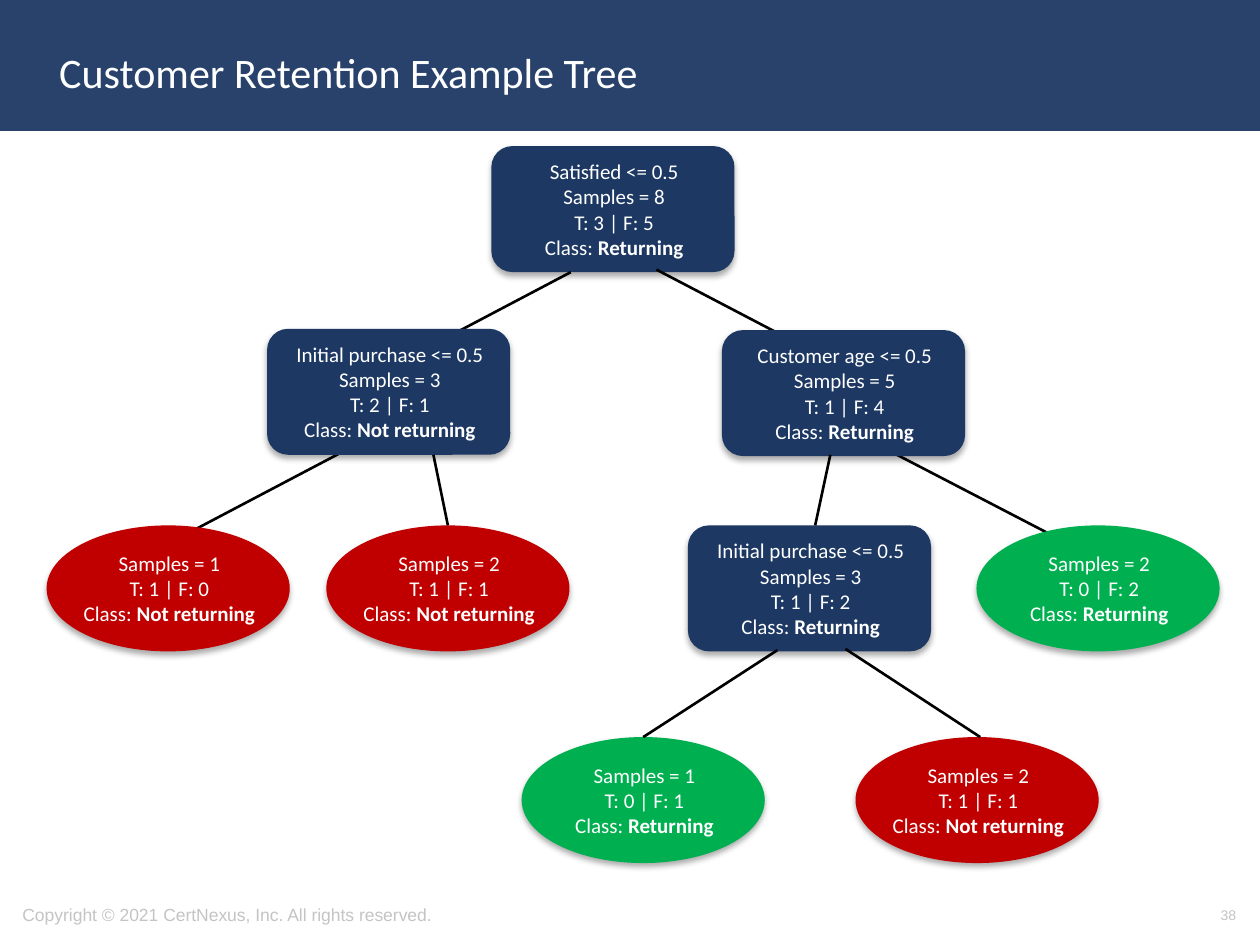
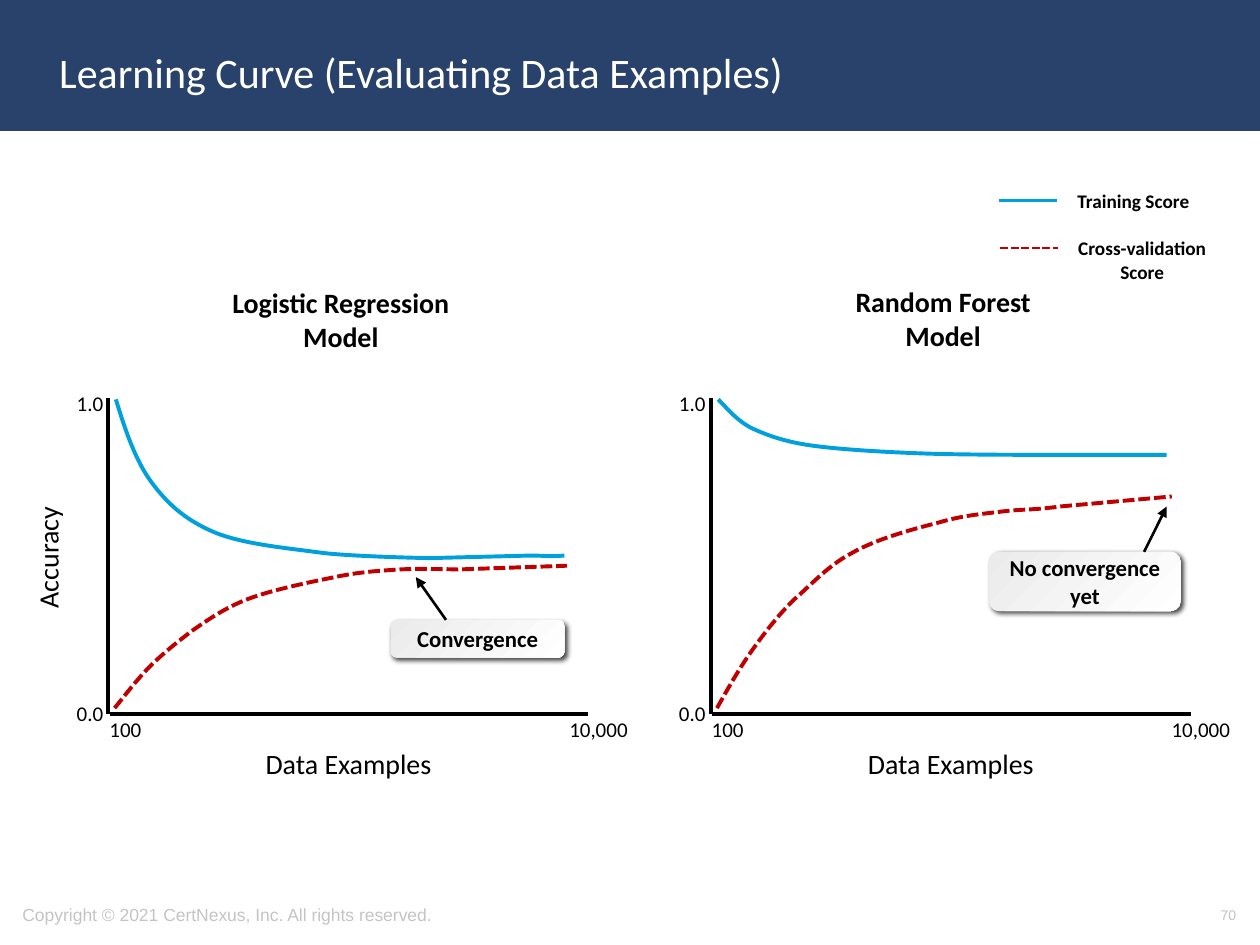
from lxml.etree import SubElement
from pptx import Presentation
from pptx.dml.color import RGBColor
from pptx.enum.dml import MSO_LINE
from pptx.enum.shapes import MSO_CONNECTOR, MSO_SHAPE
from pptx.enum.text import MSO_ANCHOR, PP_ALIGN
from pptx.oxml.ns import qn
from pptx.util import Pt

PX = 9144  # EMU per px, 100 px to the inch

BAND_BLUE = RGBColor(0x28, 0x42, 0x6C)
NODE_BLUE = RGBColor(0x1C, 0x38, 0x63)
RED = RGBColor(0xC0, 0x00, 0x00)
GREEN = RGBColor(0x00, 0xB0, 0x50)
LEGEND_BLUE = RGBColor(0x01, 0xA1, 0xDD)
CURVE_BLUE = RGBColor(0x00, 0xA0, 0xDD)
FOOTER_GREY = RGBColor(0xC4, 0xC4, 0xC4)
CALLOUT_GREY = RGBColor(0xEB, 0xEB, 0xEB)
WHITE = RGBColor(0xFF, 0xFF, 0xFF)
BLACK = RGBColor(0x00, 0x00, 0x00)

# Opacity %, blur pt, distance pt, angle in degrees
NODE_SHADOW = (32, 3.5, 2.2, 90)
CALLOUT_SHADOW = (75, 3, 2, 45)


def add_box(slide, box, text, size, color=BLACK, bold=False, align=PP_ALIGN.LEFT,
            wrap=True, font="Calibri", preset=None, shadow=None):
    """Add a text box, or a borderless preset shape with text and a shadow."""
    frame = [value * PX for value in box]
    if preset is None:
        shape = slide.shapes.add_textbox(*frame)
    else:
        shape = slide.shapes.add_shape(preset, *frame)
        shape.line.fill.background()
        shape.shadow.inherit = False
    if shadow:
        opacity, blur, distance, angle = shadow
        effects = shape._element.spPr.find(qn("a:effectLst"))
        outer = SubElement(effects, qn("a:outerShdw"), blurRad=str(Pt(blur)),
                           dist=str(Pt(distance)), dir=str(angle * 60000), rotWithShape="0")
        black = SubElement(outer, qn("a:srgbClr"), val="000000")
        SubElement(black, qn("a:alpha"), val=str(opacity * 1000))
    shape.text_frame.word_wrap = wrap
    shape.text_frame.text = text
    for paragraph in shape.text_frame.paragraphs:
        paragraph.alignment = align
        for run in paragraph.runs:
            run.font.name, run.font.size, run.font.bold = font, Pt(size), bold
            run.font.color.rgb = color
    return shape


def add_line(slide, start, end, color=BLACK, width=1.5, dash=None, arrow=False):
    """Add a straight connector without shadow, with an arrowhead on request."""
    line = slide.shapes.add_connector(
        MSO_CONNECTOR.STRAIGHT, *[value * PX for value in (*start, *end)])
    line.line.color.rgb = color
    line.line.width = Pt(width)
    if dash:
        line.line.dash_style = dash
    if arrow:
        SubElement(line.line._get_or_add_ln(), qn("a:tailEnd"), type="triangle")
    SubElement(line._element.spPr, qn("a:effectLst"))
    return line


presentation = Presentation()
presentation.slide_width = 1000 * PX
presentation.slide_height = 750 * PX

# Shared band, title, copyright line and page number
slides = []
for title_text, number in (("Customer Retention Example Tree", "38"),
                           ("Learning Curve (Evaluating Data Examples)", "70")):
    slide = presentation.slides.add_slide(presentation.slide_layouts[5])
    slides.append(slide)

    band = slide.shapes.add_shape(MSO_SHAPE.RECTANGLE, 0, 0, 1000 * PX, 103 * PX)
    band.fill.solid()
    band.fill.fore_color.rgb = band.line.color.rgb = BAND_BLUE
    band.line.width = Pt(2)
    band.shadow.inherit = False
    slide.shapes._spTree.insert(2, band._element)

    title = slide.shapes.title
    title.left, title.top, title.width, title.height = 37 * PX, 11 * PX, 862 * PX, 92 * PX
    title.text_frame.text = title_text
    title.text_frame.vertical_anchor = MSO_ANCHOR.MIDDLE
    paragraph = title.text_frame.paragraphs[0]
    paragraph.alignment = PP_ALIGN.LEFT
    font = paragraph.runs[0].font
    font.name, font.size, font.color.rgb = "Calibri", Pt(24), WHITE

    for box, text, size, align in (
            ((8, 706, 527, 40), "Copyright © 2021 CertNexus, Inc. All rights reserved.",
             10, PP_ALIGN.LEFT),
            ((758, 706, 233, 40), number, 8, PP_ALIGN.RIGHT)):
        footer = add_box(slide, box, text, size, FOOTER_GREY, align=align, font="Arial")
        footer.text_frame.vertical_anchor = MSO_ANCHOR.MIDDLE

tree_slide, curve_slide = slides

# Tree: branches drawn just before the node that covers their end
branches_behind = {
    "root": [((843, 429), (712, 361)), ((142, 427), (273, 358))],
    "age": [((651, 282), (521, 214))],
    "purchase": [((322, 285), (453, 216))],
}

# Tree: decision nodes (with a test) and leaves (without)
NODE_WIDTH, NODE_HEIGHT = 193, 100
nodes = {}
for name, left, top, test, samples, true_count, false_count, returning in (
        ("root", 390, 116, "Satisfied <= 0.5", 8, 3, 5, True),
        ("age", 573, 262, "Customer age <= 0.5", 5, 1, 4, True),
        ("purchase", 212, 261, "Initial purchase <= 0.5", 3, 2, 1, False),
        ("left leaf", 37, 417, None, 1, 1, 0, False),
        ("inner leaf", 259, 417, None, 2, 1, 1, False),
        ("right leaf", 775, 417, None, 2, 0, 2, True),
        ("late purchase", 546, 417, "Initial purchase <= 0.5", 3, 1, 2, True),
        ("bottom left leaf", 414, 585, None, 1, 0, 1, True),
        ("bottom right leaf", 679, 585, None, 2, 1, 1, False)):
    for start, end in branches_behind.get(name, []):
        add_line(tree_slide, start, end)
    lines = [test] if test else []
    lines += [f"Samples = {samples}", f"T: {true_count} | F: {false_count}", "Class: "]
    node = add_box(tree_slide, (left, top, NODE_WIDTH, NODE_HEIGHT), "\n".join(lines), 12,
                   WHITE, align=PP_ALIGN.CENTER, wrap=False,
                   preset=MSO_SHAPE.ROUNDED_RECTANGLE if test else MSO_SHAPE.OVAL,
                   shadow=NODE_SHADOW)
    node.fill.solid()
    node.fill.fore_color.rgb = NODE_BLUE if test else GREEN if returning else RED
    frame = node.text_frame
    frame.margin_right = frame.margin_top = frame.margin_bottom = 0
    frame.margin_left = 2 * PX
    outcome = frame.paragraphs[-1].add_run()
    outcome.text = "Returning" if returning else "Not returning"
    outcome.font.name, outcome.font.size, outcome.font.bold = "Calibri", Pt(12), True
    outcome.font.color.rgb = WHITE
    nodes[name] = node

# Tree: branches in front, joined where they meet the middle of a child's top
for child, start, end, joined in (
        ("inner leaf", (356, 417), (344, 361), True),
        ("late purchase", (647, 417), (659, 361), False),
        ("bottom left leaf", (511, 585), (617, 516), True),
        ("bottom right leaf", (778, 585), (671, 515), False)):
    branch = add_line(tree_slide, start, end)
    if joined:
        branch.begin_connect(nodes[child], 0)

# Legend
add_line(curve_slide, (794, 197), (840, 197), RED, dash=MSO_LINE.SQUARE_DOT)
add_line(curve_slide, (793, 159), (839, 159), LEGEND_BLUE)
for box, text in (((842, 145, 115, 29), "Training Score"),
                  ((844, 183, 125, 47), "Cross-validation Score")):
    add_box(curve_slide, box, text, 11, bold=True, align=PP_ALIGN.CENTER)

# Curve segments: a start point, then one point (line) or three points (Bezier)
logistic_training = [
    [(92, 317)], [(99, 340), (107, 364), (119, 381)], [(132, 399), (146, 412), (169, 422)],
    [(192, 432), (228, 435), (257, 439)], [(285, 442), (341, 443), (341, 443)],
    [(420, 441)], [(437, 441), (431, 442), (448, 441)]]
logistic_validation = [
    [(91, 562)], [(100, 551), (109, 539), (119, 529)], [(129, 519), (139, 511), (152, 501)],
    [(165, 492), (179, 482), (198, 475)], [(217, 468), (246, 462), (266, 458)],
    [(285, 454), (301, 453), (317, 452)], [(333, 451), (363, 452), (363, 452)],
    [(450, 449)]]
forest_training = [
    [(570, 317)], [(578, 325), (585, 334), (597, 340)], [(610, 346), (624, 351), (647, 354)],
    [(670, 357), (706, 359), (735, 360)], [(764, 361), (820, 361), (820, 361)],
    [(898, 361)], [(916, 361), (909, 361), (926, 361)]]
forest_validation = [
    [(569, 562)], [(578, 546), (587, 530), (597, 516)], [(607, 502), (617, 489), (630, 476)],
    [(644, 464), (657, 449), (676, 439)], [(695, 428), (724, 420), (744, 415)],
    [(764, 409), (779, 408), (795, 406)], [(811, 404), (819, 405), (841, 402)],
    [(930, 394)]]

# Learning curve panels
AXIS_TOP, AXIS_BOTTOM, AXIS_LENGTH = 316, 567, 381
for axis_left, heading, heading_top, training, validation, callout_text, callout_box, arrow in (
        (86, "Logistic Regression Model", 222, logistic_training, logistic_validation,
         "Convergence", (310, 492, 138, 30), ((354, 492), (330, 458))),
        (564, "Random Forest Model", 221, forest_training, forest_validation,
         "No convergence yet", (785, 438, 152, 47), ((908, 438), (926, 402)))):
    # Axes and their labels
    add_line(curve_slide, (axis_left, AXIS_TOP), (axis_left, AXIS_BOTTOM), width=2.25)
    add_line(curve_slide, (axis_left + AXIS_LENGTH, AXIS_BOTTOM),
             (axis_left + 1, AXIS_BOTTOM), width=2.25)
    for offset, top, width, height, text, size in (
            (-35, 305, 42, 30, "1.0", 12), (-35, 551, 42, 30, "0.0", 12),
            (356, 564, 67, 30, "10,000", 12), (-9, 564, 46, 30, "100", 12),
            (115, 588, 153, 37, "Data Examples", 16)):
        add_box(curve_slide, (axis_left + offset, top, width, height), text, size, wrap=False)
    add_box(curve_slide, (axis_left + 77, heading_top, 215, 64), heading, 16, bold=True,
            align=PP_ALIGN.CENTER)

    # Curves: lay out all points, then fold each group of three into a Bezier
    for segments, color, dash in ((training, CURVE_BLUE, None),
                                  (validation, RED, MSO_LINE.SQUARE_DOT)):
        points = [point for segment in segments for point in segment]
        builder = curve_slide.shapes.build_freeform(*points[0], scale=PX)
        builder.add_line_segments(points[1:], close=False)
        curve = builder.convert_to_shape()
        steps = iter(list(curve._element.iter(qn("a:lnTo"))))
        for segment in segments[1:]:
            first, *others = [next(steps) for _ in segment]
            if others:
                first.tag = qn("a:cubicBezTo")
            for other in others:
                first.append(other[0])
                other.getparent().remove(other)
        curve.fill.background()
        curve.line.color.rgb = color
        curve.line.width = Pt(2.25)
        if dash:
            curve.line.dash_style = dash
        curve.shadow.inherit = False

    # Callout with its arrow
    callout = add_box(curve_slide, callout_box, callout_text, 13, bold=True,
                      align=PP_ALIGN.CENTER, preset=MSO_SHAPE.ROUNDED_RECTANGLE,
                      shadow=CALLOUT_SHADOW)
    callout.fill.gradient()
    callout.fill.gradient_angle = 315
    for stop, color in zip(callout.fill.gradient_stops, (CALLOUT_GREY, WHITE)):
        stop.color.rgb = color
    add_line(curve_slide, *arrow, arrow=True)

# Shared vertical axis title
accuracy = add_box(curve_slide, (-13, 423, 102, 37), "Accuracy", 16, wrap=False)
accuracy.rotation = 270

presentation.save("out.pptx")
